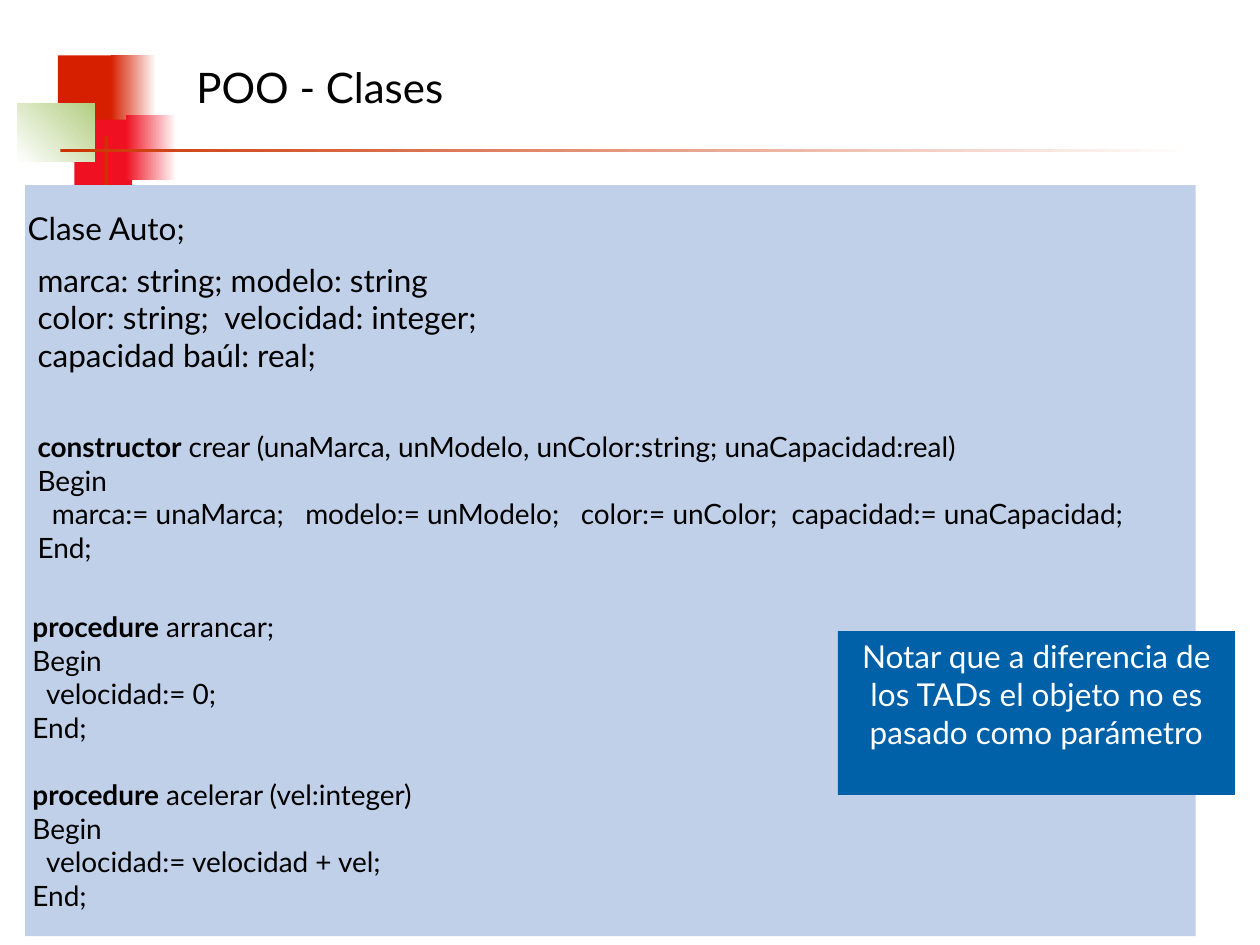
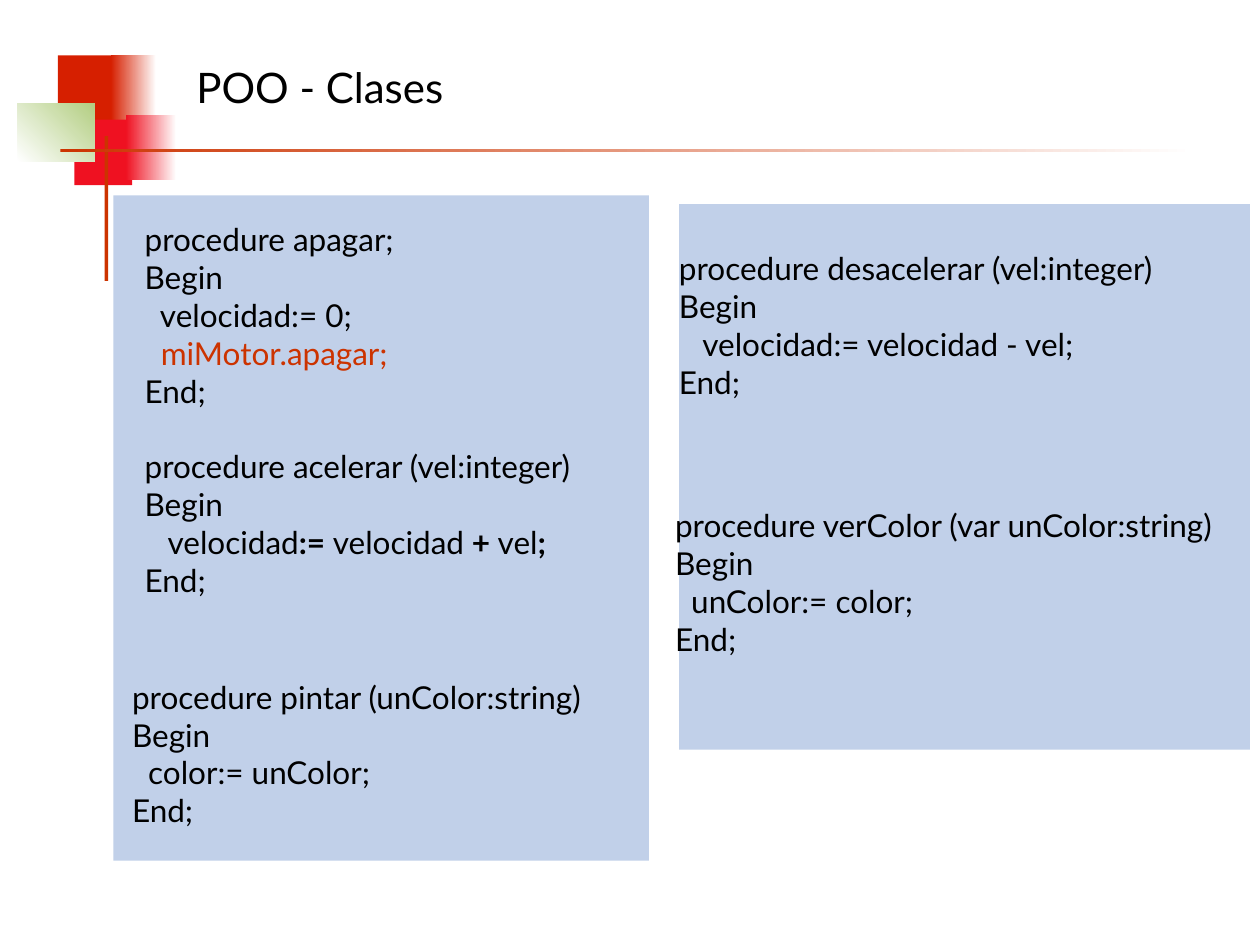
from dataclasses import dataclass
from typing import NamedTuple

from pptx import Presentation
from pptx.dml.color import RGBColor
from pptx.enum.shapes import MSO_SHAPE
from pptx.enum.text import MSO_ANCHOR, PP_ALIGN
from pptx.util import Inches, Pt


@dataclass(frozen=True)
class Theme:
    font: str = "Lato"
    title_size: int = 24
    body_size: int = 18
    code_size: int = 16
    line_height: float = 1.2
    text: str = "000000"
    white: str = "FFFFFF"
    panel: str = "C1D0E9"
    note: str = "0060A8"
    accent: str = "CC3300"
    red: str = "D61F00"
    crimson: str = "EF1121"
    green: str = "B3CE82"


THEME = Theme()


class Box(NamedTuple):
    left: float
    top: float
    width: float
    height: float


class Run(NamedTuple):
    text: str
    bold: bool = False
    color: str = THEME.text


class Band(NamedTuple):
    """A rectangle; with an end colour it fades along the angle."""
    box: Box
    color: str
    end: str | None = None
    angle: int = 0


Line = str | list[Run]
Block = list[Line]

DECORATION = [
    Band(Box(0.46, 0.44, 0.48, 0.52), THEME.red),
    Band(Box(0.88, 0.44, 0.36, 0.52), THEME.red, THEME.white),
    Band(Box(0.59, 0.95, 0.46, 0.52), THEME.crimson),
    Band(Box(1, 0.91, 0.4, 0.52), THEME.crimson, THEME.white),
    Band(Box(0.14, 0.82, 0.61, 0.46), THEME.white, THEME.green, 45),
    Band(Box(0.83, 1.08, 0.03, 1.15), THEME.accent),
    Band(Box(0.48, 1.18, 9, 0.03), THEME.accent, THEME.white),
]
TITLE_BOX = Box(1.46, 0.44, 7.32, 0.5)


def place(box: Box) -> list[int]:
    return [Inches(v) for v in box]


def add_band(s, band: Band):
    sp = s.shapes.add_shape(MSO_SHAPE.RECTANGLE, *place(band.box))
    sp.shadow.inherit = False
    sp.line.fill.background()
    if band.end is None:
        sp.fill.solid()
        sp.fill.fore_color.rgb = RGBColor.from_string(band.color)
    else:
        sp.fill.gradient()
        sp.fill.gradient_angle = band.angle
        for stop, color in zip(sp.fill.gradient_stops, (band.color, band.end)):
            stop.color.rgb = RGBColor.from_string(color)
    return sp


def write_text(sp, blocks: list[Block], *, size: int = THEME.body_size,
               color: str = THEME.text, align: PP_ALIGN = PP_ALIGN.LEFT) -> None:
    """Write blocks of lines, leaving the height of one line between blocks."""
    tf = sp.text_frame
    tf.word_wrap = True
    tf.vertical_anchor = MSO_ANCHOR.TOP
    p = None
    for block in blocks:
        for i, line in enumerate(block):
            starts_later_block = p is not None and i == 0
            p = tf.paragraphs[0] if p is None else tf.add_paragraph()
            p.alignment = align
            if starts_later_block:
                p.space_before = Pt(size * THEME.line_height)
            runs = [Run(line, color=color)] if isinstance(line, str) else line
            for run in runs:
                r = p.add_run()
                r.text = run.text
                r.font.name = THEME.font
                r.font.size = Pt(size)
                r.font.bold = run.bold
                r.font.color.rgb = RGBColor.from_string(run.color)


def add_text(s, box: Box, blocks: list[Block], **text_format) -> None:
    write_text(s.shapes.add_textbox(*place(box)), blocks, **text_format)


def routine(head: Line, *body: Line) -> Block:
    return [head, "Begin", *body, "End;"]


def keyword(word: str, rest: str) -> list[Run]:
    return [Run(word, bold=True), Run(rest)]


def new_slide(prs, title: str):
    s = prs.slides.add_slide(prs.slide_layouts[6])
    for band in DECORATION:
        add_band(s, band)
    add_text(s, TITLE_BOX, [[title]], size=THEME.title_size)
    return s


def add_class_slide(prs) -> None:
    s = new_slide(prs, "POO - Clases")
    add_band(s, Band(Box(0.2, 1.47, 9.29, 5.96), THEME.panel))
    add_text(s, Box(0.12, 1.61, 1.51, 0.4), [["Clase Auto;"]])
    add_text(s, Box(0.2, 2.02, 4.41, 1), [[
        "marca: string; modelo: string",
        "color: string;  velocidad: integer;",
        "capacidad baúl: real;",
    ]])
    add_text(s, Box(0.16, 4.79, 3.54, 2.5), [
        routine(keyword("procedure", " arrancar;"), "  velocidad:= 0;"),
        routine(keyword("procedure", " acelerar (vel:integer)"),
                "  velocidad:= velocidad + vel;"),
    ], size=THEME.code_size)
    add_text(s, Box(0.2, 3.36, 9.8, 1.17), [routine(
        keyword("constructor",
                " crear (unaMarca, unModelo, unColor:string; unaCapacidad:real)"),
        "  marca:= unaMarca;   modelo:= unModelo;   color:= unColor;"
        "  capacidad:= unaCapacidad;",
    )], size=THEME.code_size)
    note = add_band(s, Band(Box(6.65, 5.01, 3.15, 1.3), THEME.note))
    write_text(note, [["Notar que a diferencia de los TADs el objeto no es "
                       "pasado como parámetro"]],
               color=THEME.white, align=PP_ALIGN.CENTER)


def add_methods_slide(prs) -> None:
    s = new_slide(prs, "POO - Clases")
    for panel in (Box(5.39, 1.62, 4.53, 4.33), Box(0.9, 1.55, 4.25, 5.28)):
        add_band(s, Band(panel, THEME.panel))
    add_text(s, Box(1.05, 1.7, 3.9, 3.1), [
        routine("procedure apagar;", "  velocidad:= 0;",
                [Run("  "), Run("miMotor.apagar;", color=THEME.accent)]),
        routine("procedure acelerar (vel:integer)",
                [Run("   ", bold=True), Run("velocidad"), Run(":= ", bold=True),
                 Run("velocidad"), Run(" + ", bold=True), Run("vel"),
                 Run(";", bold=True)]),
    ])
    add_text(s, Box(0.95, 5.33, 4.1, 1.3), [
        routine("procedure pintar (unColor:string)", "  color:= unColor;")])
    add_text(s, Box(5.26, 3.97, 4.82, 1.3), [
        routine("procedure verColor (var unColor:string)", "  unColor:= color;")])
    add_text(s, Box(5.29, 1.93, 4.31, 1.6), [
        routine("procedure desacelerar (vel:integer)",
                "   velocidad:= velocidad - vel;")])


def main() -> None:
    prs = Presentation()
    prs.slide_width, prs.slide_height = Inches(10), Inches(7.5)
    add_class_slide(prs)
    add_methods_slide(prs)
    prs.save("out.pptx")


if __name__ == "__main__":
    main()
